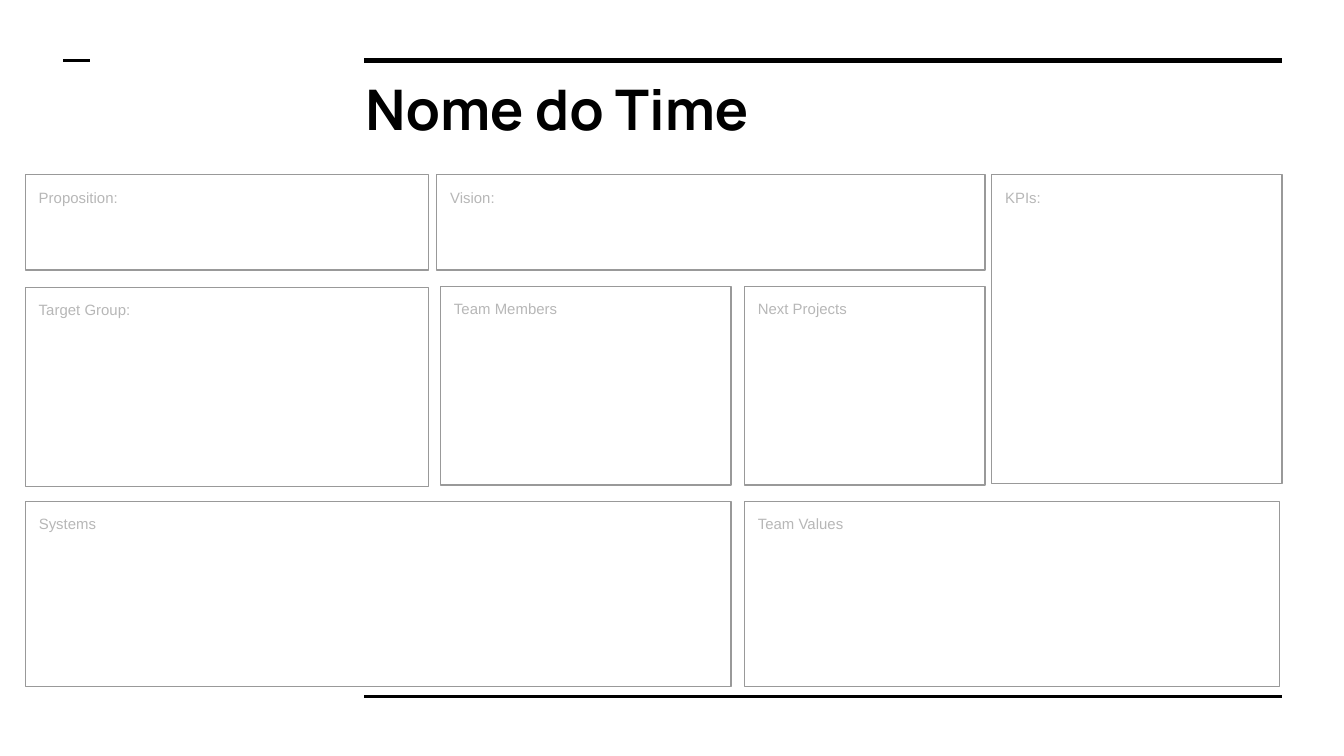
from lxml.etree import SubElement
from pptx import Presentation
from pptx.dml.color import RGBColor
from pptx.enum.shapes import MSO_CONNECTOR, MSO_SHAPE
from pptx.enum.text import MSO_ANCHOR, PP_ALIGN
from pptx.oxml.ns import qn
from pptx.util import Inches, Pt

PAGE_WIDTH = 10
PAGE_HEIGHT = PAGE_WIDTH * 9 / 16
LEFT, RIGHT = 0.19, 9.54
TOP_ROW, MIDDLE_ROW, BOTTOM_ROW = 1.3, 2.13, 3.73
TOP_HEIGHT, MIDDLE_HEIGHT, BOTTOM_HEIGHT = 0.71, 1.48, 1.38
RULE_LEFT, RULE_TOP, RULE_BOTTOM = 2.71, 0.45, 5.18

RULES = [
    (RULE_LEFT, RIGHT, RULE_TOP, 3),
    (RULE_LEFT, RIGHT, RULE_BOTTOM, 1.5),
    (0.47, 0.67, RULE_TOP, 1.5),
]

PANELS = [
    ("Proposition:", LEFT, TOP_ROW, 3, TOP_HEIGHT),
    ("Vision:", 3.25, TOP_ROW, 4.08, TOP_HEIGHT),
    ("KPIs:", 7.38, TOP_ROW, 2.16, 2.3),
    ("Target Group:", LEFT, 2.14, 3, MIDDLE_HEIGHT),
    ("Team Members", 3.28, MIDDLE_ROW, 2.16, MIDDLE_HEIGHT),
    ("Next Projects", 5.54, MIDDLE_ROW, 1.79, MIDDLE_HEIGHT),
    ("Systems", LEFT, BOTTOM_ROW, 5.25, BOTTOM_HEIGHT),
    ("Team Values", 5.54, BOTTOM_ROW, 3.98, BOTTOM_HEIGHT),
]


def color(value):
    """Turn a hex string into a colour."""
    return RGBColor.from_string(value)


def write_text(shape, text, *, size, font, fill, bold=False, anchor=MSO_ANCHOR.TOP):
    """Write one left-aligned line of formatted text into a shape."""
    frame = shape.text_frame
    frame.word_wrap = True
    frame.vertical_anchor = anchor
    frame.margin_left = frame.margin_right = Inches(0.1)
    frame.margin_top = frame.margin_bottom = Inches(0.1)
    para = frame.paragraphs[0]
    para.alignment = PP_ALIGN.LEFT
    span = para.add_run()
    span.text = text
    span.font.size = Pt(size)
    span.font.name = font
    span.font.bold = bold
    span.font.color.rgb = color(fill)


def add_rule(page, left, right, top, weight):
    """Draw a horizontal black rule."""
    rule = page.shapes.add_connector(
        MSO_CONNECTOR.STRAIGHT, Inches(left), Inches(top), Inches(right), Inches(top)
    )
    rule.line.color.rgb = color("000000")
    rule.line.width = Pt(weight)
    SubElement(rule._element.spPr, qn("a:effectLst"))


def add_panel(page, label, left, top, width, height):
    """Draw an outlined canvas panel with its label."""
    panel = page.shapes.add_shape(
        MSO_SHAPE.RECTANGLE, Inches(left), Inches(top), Inches(width), Inches(height)
    )
    panel.shadow.inherit = False
    panel.fill.background()
    panel.line.color.rgb = color("999999")
    panel.line.width = Pt(0.75)
    write_text(panel, label, size=8, font="Arial", fill="B7B7B7")


def add_title(page, text):
    """Place the team name below the top rule."""
    box = page.shapes.add_textbox(Inches(2.62), Inches(0.46), Inches(6.91), Inches(0.69))
    write_text(
        box, text, size=30, font="Manrope", fill="000000", bold=True, anchor=MSO_ANCHOR.MIDDLE
    )


def main():
    """Build the team canvas slide."""
    deck = Presentation()
    deck.slide_width, deck.slide_height = Inches(PAGE_WIDTH), Inches(PAGE_HEIGHT)
    page = deck.slides.add_slide(deck.slide_layouts[6])
    for rule in RULES:
        add_rule(page, *rule)
    add_title(page, "Nome do Time")
    for panel in PANELS:
        add_panel(page, *panel)
    deck.save("out.pptx")


if __name__ == "__main__":
    main()
